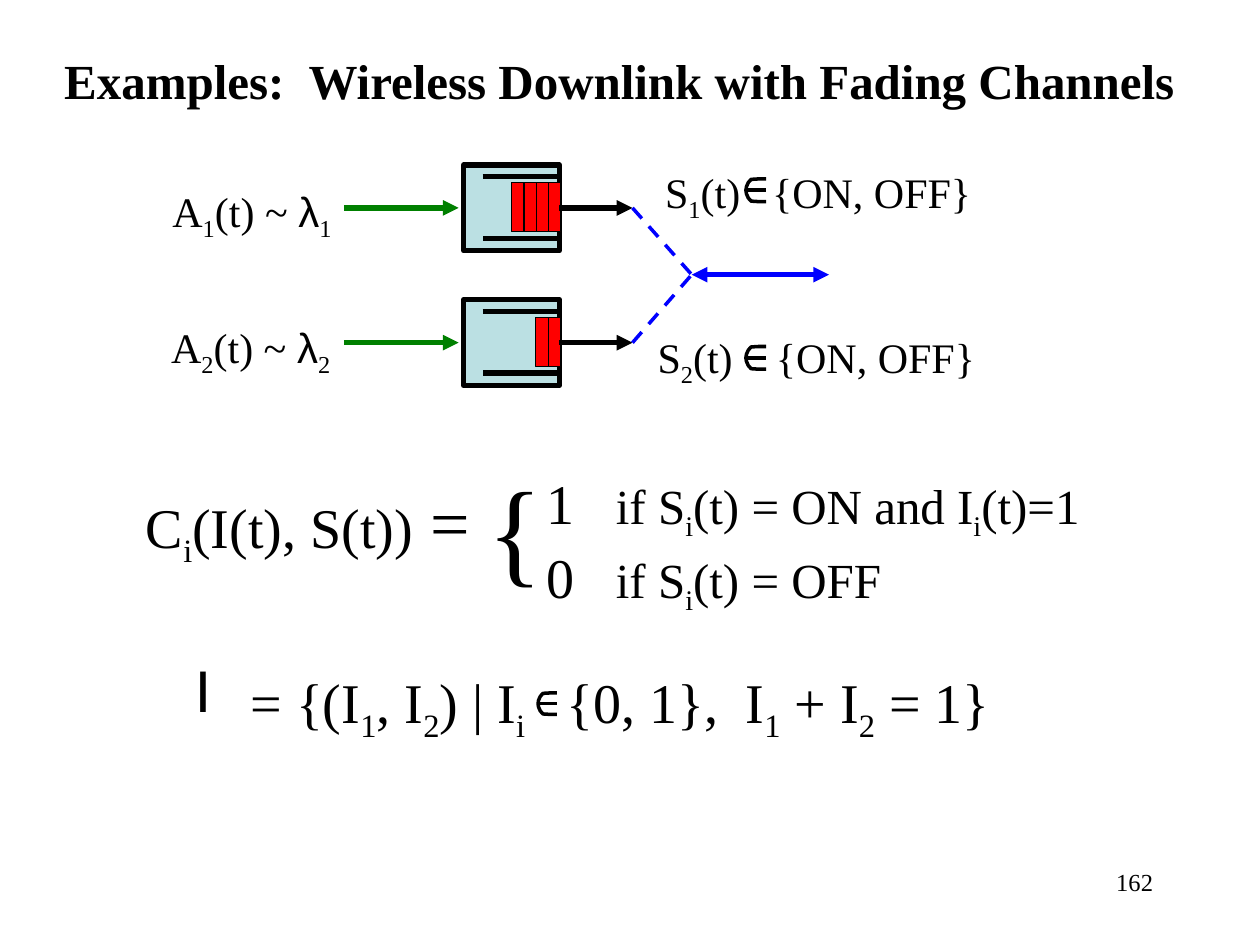
import pptx
import pptx.util
import pptx.dml.color
import pptx.enum.dml
import pptx.enum.shapes
import pptx.enum.text
import pptx.oxml
import pptx.oxml.ns
from pptx.util import Inches

INK = {"black": "000000", "green": "008000", "blue": "0000FF",
       "red": "FF0000", "pale": "BBE0E3"}
SERIF = "Times New Roman"


class Pen:
    """Draw styled text, boxes, outlines and lines on one slide."""

    def __init__(self, slide):
        self.slide = slide
        self.shapes = slide.shapes

    def tint(self, name):
        return pptx.dml.color.RGBColor.from_string(INK[name])

    def node(self, root, tag, **attrs):
        child = pptx.oxml.parse_xml(f"<a:{tag} {pptx.oxml.ns.nsdecls('a')}/>")
        for key, value in attrs.items():
            child.set(key, str(value))
        root.append(child)
        return child

    def letter(self, frame, rows, size, tabs=(), bold=False, align="LEFT", wrap=True):
        frame.word_wrap = wrap
        frame.auto_size = pptx.enum.text.MSO_AUTO_SIZE.NONE
        frame.vertical_anchor = pptx.enum.text.MSO_ANCHOR.TOP
        for index, row in enumerate(rows):
            para = frame.add_paragraph() if index else frame.paragraphs[0]
            para.alignment = getattr(pptx.enum.text.PP_ALIGN, align)
            if tabs:
                stops = self.node(para._p.get_or_add_pPr(), "tabLst")
                for stop in tabs:
                    self.node(stops, "tab", pos=Inches(stop), algn="l")
            for part in row:
                text, points, face = part if isinstance(part, tuple) else (part, size, SERIF)
                run = para.add_run()
                run.text = text.lstrip("_")
                font = run.font
                font.size, font.name, font.bold = pptx.util.Pt(points), face, bold
                font.color.rgb = self.tint("black")
                if text.startswith("_"):
                    font._element.set("baseline", "-25000")

    def title(self, place, row, size, tabs):
        shape = self.shapes.title
        shape.left, shape.top, shape.width, shape.height = map(Inches, place)
        self.letter(shape.text_frame, [row], size, tabs, bold=True, wrap=False)

    def text(self, place, rows, size, tabs=(), align="LEFT"):
        frame = self.shapes.add_textbox(*map(Inches, place)).text_frame
        if tabs:
            frame.margin_right = 0
        self.letter(frame, rows, size, tabs, align=align, wrap=bool(tabs) or align != "LEFT")

    def edge(self, shape, color, width):
        shape.line.color.rgb = self.tint(color)
        shape.line.width = pptx.util.Pt(width)

    def box(self, place, fill, width):
        kind = pptx.enum.shapes.MSO_SHAPE.RECTANGLE
        shape = self.shapes.add_shape(kind, *map(Inches, place))
        shape.shadow.inherit = False
        shape.fill.solid()
        shape.fill.fore_color.rgb = self.tint(fill)
        self.edge(shape, "black", width)

    def trace(self, points, width):
        spots = [(Inches(x), Inches(y)) for x, y in points]
        form = self.shapes.build_freeform(*spots[0])
        form.add_line_segments(spots[1:], close=False)
        shape = form.convert_to_shape()
        shape.shadow.inherit = False
        shape.fill.background()
        self.edge(shape, "black", width)

    def line(self, start, end, color, width, tips=(), dash=False):
        kind = pptx.enum.shapes.MSO_CONNECTOR.STRAIGHT
        link = self.shapes.add_connector(kind, *map(Inches, start + end))
        self.edge(link, color, width)
        if dash:
            link.line.dash_style = pptx.enum.dml.MSO_LINE.DASH
        for tip in tips:
            self.node(link.line._get_or_add_ln(), tip, type="triangle")
        self.node(link._element.spPr, "effectLst")

    def queue(self, top, count):
        self.box((3.68, top, 0.76, 0.68), "pale", 3)
        high, low = top + 0.09, top + 0.58
        self.trace([(3.83, high), (4.44, high), (4.44, low), (3.83, low)], 3)
        for index in range(count):
            self.box((4.35 - 0.097 * index, top + 0.14, 0.1, 0.39), "red", 0.75)

    def member(self, left, top, wide, high):
        curve = [(1, 0), (0.62, 0), (0.26, 0.02), (0.12, 0.16), (0.03, 0.34), (0, 0.5)]
        curve += [(x, 1 - y) for x, y in reversed(curve[:-1])]
        self.trace([(left + wide * x, top + high * y) for x, y in curve], 2)
        mid = top + high / 2
        self.line((left, mid), (left + wide, mid), "black", 2)


def main():
    deck = pptx.Presentation()
    deck.slide_width, deck.slide_height = Inches(10), Inches(7.5)
    pen = Pen(deck.slides.add_slide(deck.slide_layouts[5]))
    pen.title((0.41, 0.35, 9.02, 0.57),
              ["Examples:\tWireless Downlink with Fading Channels"], 28, [1.94])
    pen.text((1.06, 3.75, 2.77, 0.82),
             [["C", "_i", "(I(t), S(t))", (" =", 40, SERIF)]], 32)

    hub = (5.49, 2.18)
    lanes = [("1", 1.31, 4, (1.27, 1.42), (5.18, 1.27, 2.62), 0.85, 1.42),
             ("2", 2.38, 2, (1.26, 2.5), (5.12, 2.58, 2.71), 0.94, 2.75)]
    for num, top, count, source, state, stop, sign in lanes:
        mid = top + 0.34
        pen.queue(top, count)
        pen.line((4.44, mid), (5.02, mid), "black", 3, ["tailEnd"])
        pen.line((2.73, mid), (3.64, mid), "green", 3, ["tailEnd"])
        pen.line((5.02, mid), hub, "blue", 2, dash=True)
        pen.text(source + (1.48, 0.56),
                 [["A", "_" + num, "(t) ~ ", ("λ", 24, "Arial"), "_" + num]], 24)
        pen.text(state + (0.56,), [["S", "_" + num, "(t)\t{ON, OFF}"]], 24, [stop])
        pen.member(5.92, sign, 0.16, 0.18)
    pen.line(hub, (6.58, 2.18), "blue", 3, ["headEnd", "tailEnd"])

    pen.text((2.68, 3.67, 5.99, 1.28),
             [[("\t1\t", 32, SERIF), "if S", "_i", "(t) = ON and I", "_i", "(t)=1"],
              [("\t0\t", 32, SERIF), "if S", "_i", "(t) = OFF"]], 28, [1.56, 2.11])
    pen.text((3.77, 3.58, 0.6, 1.2), [["{"]], 66)
    pen.text((1.45, 5.11, 0.37, 0.7), [[("I", 36, "Calibri")]], 36)
    pen.text((1.89, 5.25, 6.07, 0.71),
             [["= {(I", "_1", ", I", "_2", ") | I", "_i", "\t{0, 1},\tI", "_1",
               " + I", "_2", " = 1}"]], 32, [2.51, 3.93])
    pen.member(4.27, 5.5, 0.15, 0.17)
    pen.text((7.17, 6.83, 2.08, 0.5), [["162"]], 14, align="RIGHT")
    deck.save("out.pptx")


if __name__ == "__main__":
    main()
